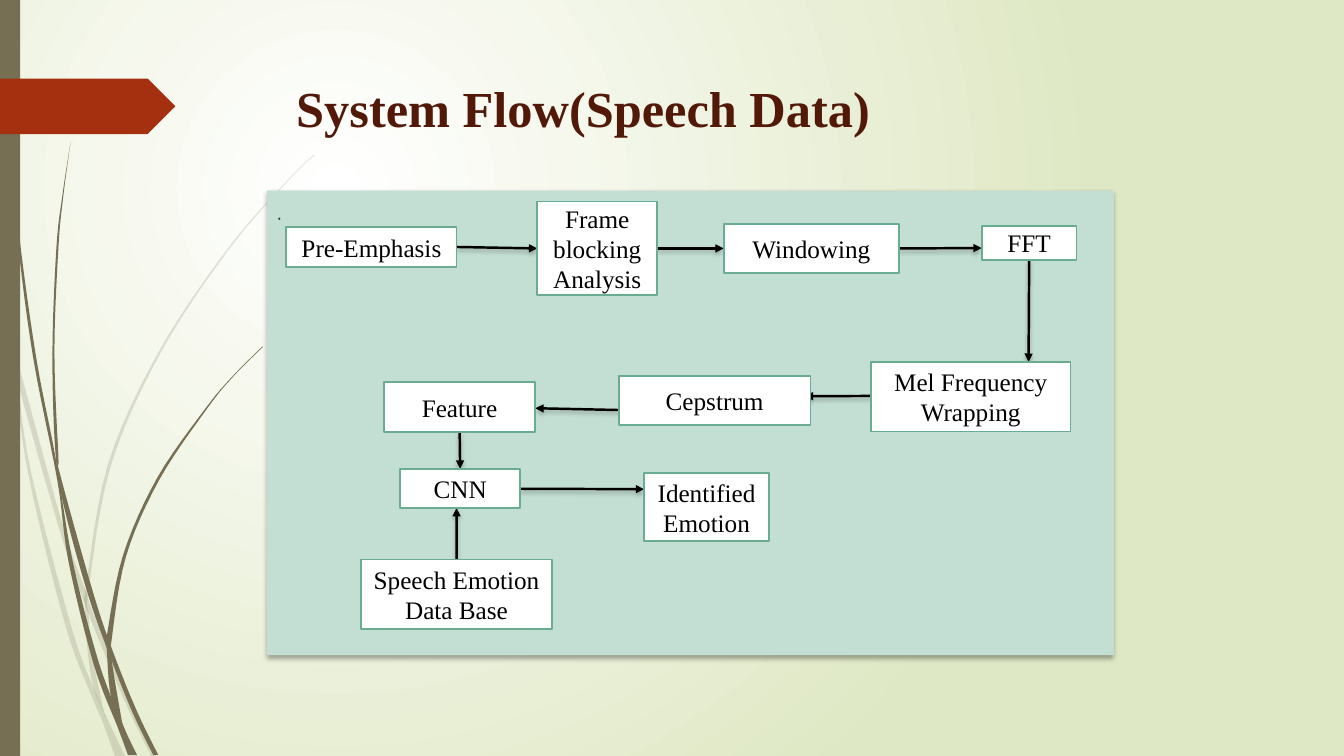
from dataclasses import dataclass

from lxml import etree
from pptx import Presentation
from pptx.dml.color import RGBColor
from pptx.enum.shapes import MSO_CONNECTOR, MSO_SHAPE
from pptx.enum.text import MSO_ANCHOR, PP_ALIGN
from pptx.oxml.ns import qn
from pptx.util import Emu, Inches, Pt

RECTANGLE, PENTAGON = MSO_SHAPE.RECTANGLE, MSO_SHAPE.PENTAGON
STRAIGHT = MSO_CONNECTOR.STRAIGHT
TOP, MIDDLE = MSO_ANCHOR.TOP, MSO_ANCHOR.MIDDLE
LEFT, CENTER = PP_ALIGN.LEFT, PP_ALIGN.CENTER
GRID = Inches(0.1)
CURVE_STEPS = 6


@dataclass(frozen=True)
class Theme:
    white: str = "FFFFFF"
    black: str = "000000"
    backdrop: str = "DFE8C4"
    grass: str = "766F54"
    banner: str = "A53010"
    title: str = "521808"
    panel: str = "C3DED3"
    node_line: str = "6AAC91"
    body: str = "404040"
    serif: str = "Times New Roman"
    sans: str = "Quicksand"
    title_size: int = 36
    text_size: int = 18
    node_width: float = 1.25
    arrow_width: float = 1.75


@dataclass(frozen=True)
class Box:
    left: float
    top: float
    width: float
    height: float

    def inner(self, left, top, width, height):
        return Box(self.left + left, self.top + top, width, height)

    def port(self, across, down):
        return self.left + across * self.width, self.top + down * self.height

    def emu(self):
        return [grid(side) for side in (self.left, self.top, self.width, self.height)]


THEME = Theme()

PALE_STEMS = [
    ([(0, 29.9), (1.1, 35), (2.8, 47), (6.5, 62.1), (9.2, 69.3), (10.1, 71.4), (11.4, 75)],
     [(0, 28.2), (0.9, 32.2), (1.7, 37.6), (3.1, 46.9), (7, 61.9), (9.3, 68.3), (12.4, 75)]),
    ([(1.4, 34.5), (1.7, 37.6), (5.8, 52.2), (8.4, 59.9), (12.3, 69.4), (15, 75)],
     [(1.4, 34.5), (6.2, 52), (8.5, 58.6), (9.2, 60.7), (12.7, 69.2), (15.5, 75)]),
    ([(31.2, 15.3), (28.9, 17.5), (22.8, 24.4), (15.8, 34.8), (10.7, 46.1), (8.5, 58.4),
      (8.4, 59.9), (8.7, 64.6), (9.3, 68.3), (10.5, 71.1)],
     [(31.2, 15.4), (29, 17.5), (22.9, 24.5), (16, 34.9), (11, 46.2), (8.8, 58.4),
      (8.8, 61), (9.1, 64.6), (10.3, 70.6), (10.5, 71.1)]),
]
DARK_STEMS = [
    ([(0.3, 0), (0.7, 11), (1.7, 23.3), (3.3, 35.5), (5.7, 47.7), (6.8, 55.7),
      (9.3, 65.9), (11.7, 72.2), (12.7, 74.9)],
     [(0.4, 0), (0.8, 10.9), (1.9, 23.2), (3.6, 35.5), (5.5, 45.3), (7.2, 55.6),
      (9.8, 65.7), (12.2, 71.9), (13.6, 74.9)]),
    ([(7, 14.1), (6.2, 19.3), (5.6, 24.5), (5.2, 34.9), (5.5, 44.9), (6.4, 50.5),
      (8.8, 59.2), (11.1, 65.6), (13.2, 70.8), (15.2, 74.9)],
     [(7, 14.1), (6.3, 19.3), (5.8, 24.5), (5.4, 34.9), (5.8, 45.3), (6, 47.2),
      (9.3, 59), (11.3, 64.9), (13.6, 70.6), (15.7, 74.9)]),
    ([(26, 34.4), (23.1, 37.3), (20.4, 40.5), (15.6, 47.4), (12.2, 55.1), (10.6, 63.1),
      (10.6, 64.5), (11, 69.1), (12.2, 71.9)],
     [(26.1, 34.4), (23.1, 37.4), (20.5, 40.6), (15.8, 47.6), (12.5, 55.2), (11.1, 63.3),
      (11.1, 65.6), (12.1, 71.6), (12.2, 71.9)]),
]
NODES = {
    "Pre-Emphasis": (1.9, 3.6, 16.9, 4),
    "Frame blocking Analysis": (26.8, 1.1, 11.9, 9.3),
    "Windowing": (45.3, 3.3, 17.4, 4.9),
    "FFT": (70.9, 3.5, 9.4, 3.4),
    "Mel Frequency Wrapping": (59.9, 17, 19.8, 6.9),
    "Cepstrum": (34.9, 18.4, 19, 4.9),
    "Feature": (11.6, 19, 15, 5),
    "CNN": (13.2, 27.6, 11.9, 3.9),
    "Identified Emotion": (37.4, 28, 12.4, 6.8),
    "Speech Emotion Data Base": (9.3, 36.6, 19, 6.9),
}
LINKS = [
    ("Pre-Emphasis", (1, 0.5), "Frame blocking Analysis", (0, 0.5)),
    ("Frame blocking Analysis", (1, 0.5), "Windowing", (0, 0.5)),
    ("Windowing", (1, 0.5), "FFT", (0, 0.65)),
    ("FFT", (0.5, 1), "Mel Frequency Wrapping", (0.79, 0)),
    ("Mel Frequency Wrapping", (0, 0.49), "Cepstrum", (0.97, 0.41)),
    ("Cepstrum", (0, 0.69), "Feature", (1, 0.52)),
    ("Feature", (0.5, 1), "CNN", (0.5, 0)),
    ("CNN", (1, 0.51), "Identified Emotion", (0, 0.24)),
    ("Speech Emotion Data Base", (0.5, 0), "CNN", (0.47, 1)),
]


def grid(units):
    return Emu(round(units * GRID))


def color(value):
    return RGBColor.from_string(value)


def add_xml(parent, tag, **attributes):
    return etree.SubElement(parent, qn(tag), {key: str(value) for key, value in attributes.items()})


def add_shadow(effects, alpha, blur, distance):
    shadow = add_xml(effects, "a:outerShdw", blurRad=Pt(blur), dist=Pt(distance), dir=5400000)
    tint = add_xml(shadow, "a:srgbClr", val=THEME.black)
    add_xml(tint, "a:alpha", val=alpha * 1000)


def paint(shape, fill, line=None):
    shape.shadow.inherit = False
    shape.fill.solid()
    shape.fill.fore_color.rgb = color(fill)
    if line:
        shape.line.color.rgb = color(line)
        shape.line.width = Pt(THEME.node_width)
    else:
        shape.line.fill.background()


def write(shape, text, size=THEME.text_size, font=THEME.serif, ink=THEME.black,
          bold=False, align=CENTER, anchor=MIDDLE):
    frame = shape.text_frame
    frame.word_wrap = True
    frame.vertical_anchor = anchor
    paragraph = frame.paragraphs[0]
    paragraph.alignment = align
    run = paragraph.add_run()
    run.text = text
    run.font.size, run.font.name, run.font.bold = Pt(size), font, bold
    run.font.color.rgb = color(ink)


def smooth(points):
    padded = [points[0], *points, points[-1]]
    for before, start, end, after in zip(padded, padded[1:], padded[2:], padded[3:]):
        for step in range(CURVE_STEPS):
            t = step / CURVE_STEPS
            yield tuple(
                b + 0.5 * t * (c - a + t * (2 * a - 5 * b + 4 * c - d + t * (3 * (b - c) + d - a)))
                for a, b, c, d in zip(before, start, end, after))
    yield points[-1]


def draw_stem(slide, box, edges, alpha):
    left_edge, right_edge = (list(smooth(edge)) for edge in edges)
    outline = [(grid(box.left + x), grid(box.top + y)) for x, y in left_edge + right_edge[::-1]]
    builder = slide.shapes.build_freeform(*outline[0])
    builder.add_line_segments(outline[1:], close=True)
    shape = builder.convert_to_shape()
    paint(shape, THEME.grass)
    tint = shape.element.spPr.find(qn("a:solidFill"))[0]
    add_xml(tint, "a:alpha", val=alpha * 1000)


def draw_backdrop(slide, box):
    fill = slide.background.fill
    fill.gradient()
    for stop, tint in zip(fill.gradient_stops, (THEME.white, THEME.backdrop)):
        stop.color.rgb = color(tint)
    gradient = slide.element.find(".//" + qn("a:gradFill"))
    gradient.remove(gradient.find(qn("a:lin")))
    route = add_xml(gradient, "a:path", path="circle")
    add_xml(route, "a:fillToRect", l=25000, t=25000, r=75000, b=75000)
    for stems, alpha in ((PALE_STEMS, 20), (DARK_STEMS, 100)):
        for edges in stems:
            draw_stem(slide, box, edges, alpha)
    side_bar = slide.shapes.add_shape(RECTANGLE, *box.inner(0, 0, 2, box.height).emu())
    paint(side_bar, THEME.grass)


def draw_header(slide, box):
    banner = slide.shapes.add_shape(PENTAGON, *box.inner(0, 1, 17.4, 5.5).emu())
    paint(banner, THEME.banner)
    title = slide.shapes.add_textbox(*box.inner(28.4, 0.4, 97.5, 9.1).emu())
    write(title, "System Flow(Speech Data)", size=THEME.title_size, ink=THEME.title,
          bold=True, align=LEFT, anchor=TOP)


def draw_link(slide, start, end):
    connector = slide.shapes.add_connector(STRAIGHT, *map(grid, start + end))
    connector.line.color.rgb = color(THEME.black)
    connector.line.width = Pt(THEME.arrow_width)
    properties = connector.element.spPr
    add_xml(properties.find(qn("a:ln")), "a:tailEnd", type="triangle")
    add_shadow(add_xml(properties, "a:effectLst"), 25, 3, 2)


def draw_flow(slide, box):
    panel = slide.shapes.add_shape(RECTANGLE, *box.emu())
    paint(panel, THEME.panel)
    add_shadow(panel.element.spPr.find(qn("a:effectLst")), 32, 3.5, 2.2)
    write(panel, ".", font=THEME.sans, ink=THEME.body, align=LEFT, anchor=TOP)
    nodes = {label: box.inner(*place) for label, place in NODES.items()}
    for source, exit_port, target, entry_port in LINKS:
        draw_link(slide, nodes[source].port(*exit_port), nodes[target].port(*entry_port))
    for label, place in nodes.items():
        node = slide.shapes.add_shape(RECTANGLE, *place.emu())
        paint(node, THEME.white, THEME.node_line)
        write(node, label)


presentation = Presentation()
page = Box(0, 0, 133.33, 75)
presentation.slide_width, presentation.slide_height = grid(page.width), grid(page.height)
slide = presentation.slides.add_slide(presentation.slide_layouts[6])
draw_backdrop(slide, page)
draw_header(slide, page.inner(0, 6.8, page.width, 9.1))
draw_flow(slide, page.inner(26.5, 18.9, 84, 46.1))
presentation.save("out.pptx")
